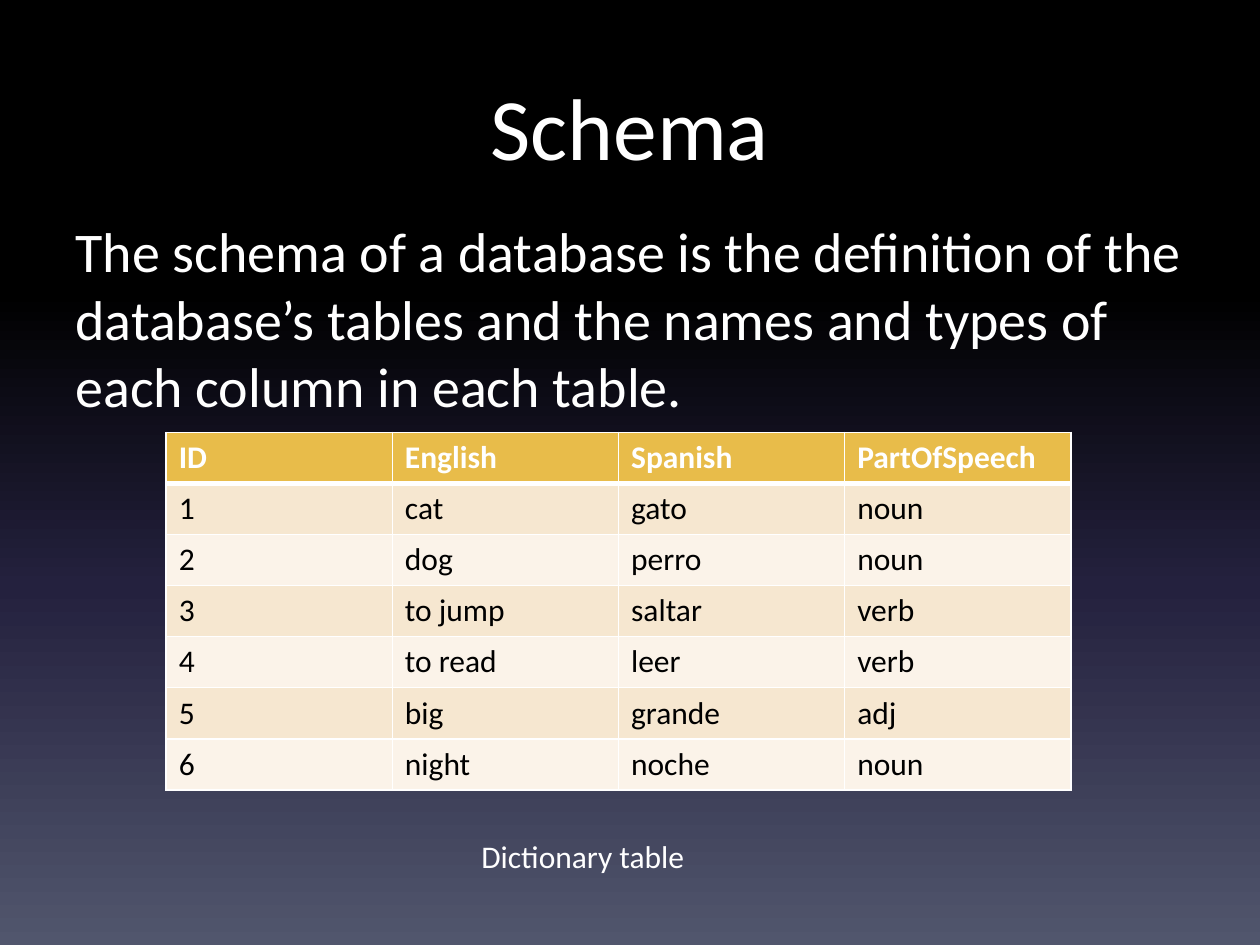
from lxml import etree
from pptx import Presentation
from pptx.dml.color import RGBColor
from pptx.enum import text
from pptx.oxml import ns
from pptx.util import Pt

FONT = "Calibri"
WHITE = RGBColor(0xFF, 0xFF, 0xFF)
BLACK = RGBColor(0x00, 0x00, 0x00)
GOLD = RGBColor(0xE8, 0xBC, 0x4A)
SAND = RGBColor(0xF6, 0xE7, 0xD0)
CREAM = RGBColor(0xFB, 0xF3, 0xE9)
NAVY = RGBColor(0x24, 0x21, 0x3E)
SLATE = RGBColor(0x51, 0x56, 0x6D)

BACKGROUND_STOPS = [(0, BLACK), (31, BLACK), (62, NAVY), (100, SLATE)]
DEFINITION = (
    "The schema of a database is the definition of the database’s tables "
    "and the names and types of each column in each table."
)
DICTIONARY = [
    ("ID", "English", "Spanish", "PartOfSpeech"),
    ("1", "cat", "gato", "noun"),
    ("2", "dog", "perro", "noun"),
    ("3", "to jump", "saltar", "verb"),
    ("4", "to read", "leer", "verb"),
    ("5", "big", "grande", "adj"),
    ("6", "night", "noche", "noun"),
]


def style_paragraph(paragraph, size, color, bold=False):
    """Set the font of a whole paragraph."""
    font = paragraph.font
    font.name, font.size, font.bold = FONT, Pt(size), bold
    font.color.rgb = color


def add_color(parent, color):
    """Append an RGB colour element."""
    etree.SubElement(parent, ns.qn("a:srgbClr"), val=str(color))


def paint_background(slide):
    """Fill the slide with a gradient running from top to bottom."""
    fill = slide.background.fill
    fill.gradient()
    fill.gradient_angle = 270
    stops = next(slide.element.iter(ns.qn("a:gsLst")))
    for stop in list(stops):
        stops.remove(stop)
    for position, color in BACKGROUND_STOPS:
        stop = etree.SubElement(stops, ns.qn("a:gs"), pos=str(position * 1000))
        add_color(stop, color)


def add_text(slide, box, content, size, margin_top=3.6, align=text.PP_ALIGN.LEFT, wrap=True):
    """Place one white paragraph in a box."""
    frame = slide.shapes.add_textbox(*map(Pt, box)).text_frame
    frame.word_wrap = wrap
    frame.margin_top = Pt(margin_top)
    paragraph = frame.paragraphs[0]
    paragraph.text = content
    paragraph.alignment = align
    style_paragraph(paragraph, size, WHITE)


def add_borders(cell, top, bottom):
    """Draw white borders round a cell, given the top and bottom widths."""
    properties = cell._tc.get_or_add_tcPr()
    for side, width in (("L", 1), ("R", 1), ("T", top), ("B", bottom)):
        line = etree.SubElement(properties, ns.qn(f"a:ln{side}"), w=str(Pt(width)))
        add_color(etree.SubElement(line, ns.qn("a:solidFill")), WHITE)


def add_dictionary(slide, box):
    """Place the dictionary table with a gold header and banded rows."""
    left, top, width, height = box
    row_count, column_count = len(DICTIONARY), len(DICTIONARY[0])
    table = slide.shapes.add_table(row_count, column_count, *map(Pt, box)).table
    for column in table.columns:
        column.width = Pt(width / column_count)
    for row_index, values in enumerate(DICTIONARY):
        table.rows[row_index].height = Pt(height / row_count)
        header = row_index == 0
        band = GOLD if header else (SAND if row_index % 2 else CREAM)
        for column_index, value in enumerate(values):
            cell = table.cell(row_index, column_index)
            cell.text = value
            style_paragraph(cell.text_frame.paragraphs[0], 18, WHITE if header else BLACK, header)
            add_borders(cell, 3 if row_index == 1 else 1, 3 if header else 1)
            cell.fill.solid()
            cell.fill.fore_color.rgb = band


def build_schema_slide(presentation):
    """Build the slide that explains a schema."""
    slide = presentation.slides.add_slide(presentation.slide_layouts[6])
    paint_background(slide)
    add_text(slide, (36, 36, 648, 90), "Schema", 50, 5.5, text.PP_ALIGN.CENTER)
    add_text(slide, (36, 124, 648, 358), DEFINITION, 32, 0)
    add_dictionary(slide, (95, 247, 517, 204.4))
    add_text(slide, (268, 474.5, 145.5, 29), "Dictionary table", 18, wrap=False)


def main():
    """Create and save the presentation."""
    presentation = Presentation()
    presentation.slide_width, presentation.slide_height = Pt(720), Pt(540)
    build_schema_slide(presentation)
    presentation.save("out.pptx")


if __name__ == "__main__":
    main()
